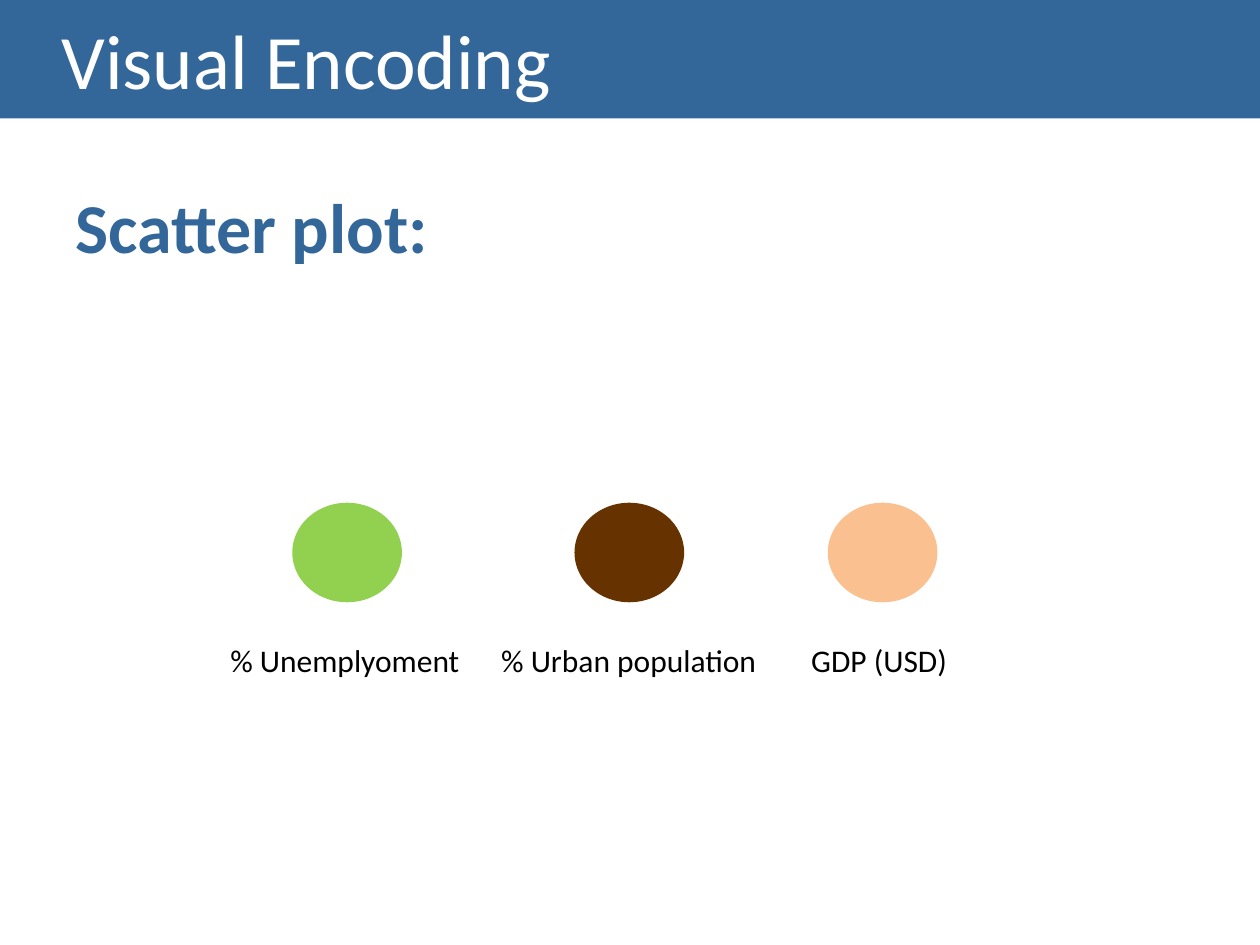
from pptx import Presentation
from pptx.dml.color import RGBColor
from pptx.enum.shapes import MSO_SHAPE as Shape
from pptx.enum.text import MSO_ANCHOR as Anchor, PP_ALIGN as Align
from pptx.util import Inches, Pt

COLORS = {
    "blue": "336699",
    "white": "FFFFFF",
    "black": "000000",
    "green": "92D050",
    "brown": "663300",
    "peach": "FAC090",
}

# label, colour, circle left, label left, label width
LEGEND = [
    ("% Unemplyoment", "green", 2.32, 1.73, 2.05),
    ("% Urban population", "brown", 4.56, 3.88, 2.24),
    ("GDP (USD)", "peach", 6.57, 6.34, 1.34),
]


def color(name):
    return RGBColor.from_string(COLORS[name])


def write(shape, text, font="Calibri", size=18, ink="black", bold=False,
          anchor=Anchor.TOP, before=0, indent=0):
    """Put one left-aligned paragraph in the shape; indent is its left margin in inches."""
    frame = shape.text_frame
    frame.word_wrap = True
    frame.vertical_anchor = anchor
    para = frame.paragraphs[0]
    para.alignment = Align.LEFT
    para.space_before = Pt(before)
    if indent:
        para._p.get_or_add_pPr().set("marL", str(Inches(indent)))
    span = para.add_run()
    span.text = text
    span.font.name = font
    span.font.size = Pt(size)
    span.font.bold = bold
    span.font.color.rgb = color(ink)


class SlideBuilder:
    def __init__(self, slide, font):
        self.slide = slide
        self.font = font

    def shape(self, kind, left, top, width, height, fill):
        shape = self.slide.shapes.add_shape(
            kind, Inches(left), Inches(top), Inches(width), Inches(height))
        shape.shadow.inherit = False
        shape.fill.solid()
        shape.fill.fore_color.rgb = color(fill)
        shape.line.fill.background()
        return shape

    def title_bar(self, text):
        bar = self.shape(Shape.RECTANGLE, 0, 0, 10, 0.94, "blue")
        write(bar, text, font=self.font, size=44, ink="white",
              anchor=Anchor.MIDDLE, indent=0.39)

    def circle(self, left, fill):
        self.shape(Shape.FLOWCHART_CONNECTOR, left, 3.99, 0.87, 0.79, fill)

    def text(self, text, left, top, width, height, **style):
        box = self.slide.shapes.add_textbox(
            Inches(left), Inches(top), Inches(width), Inches(height))
        write(box, text, font=self.font, **style)


def main():
    deck = Presentation()
    deck.slide_width, deck.slide_height = Inches(10), Inches(7.5)
    page = SlideBuilder(deck.slides.add_slide(deck.slide_layouts[6]), "Calibri")

    page.title_bar("Visual Encoding")
    page.text("Scatter plot:", 0.5, 1.41, 9, 5.7,
              size=40, ink="blue", bold=True, before=18)
    for label, fill, circle_left, label_left, label_width in LEGEND:
        page.circle(circle_left, fill)
        page.text(label, label_left, 5.04, label_width, 0.4)

    deck.save("out.pptx")


if __name__ == "__main__":
    main()
